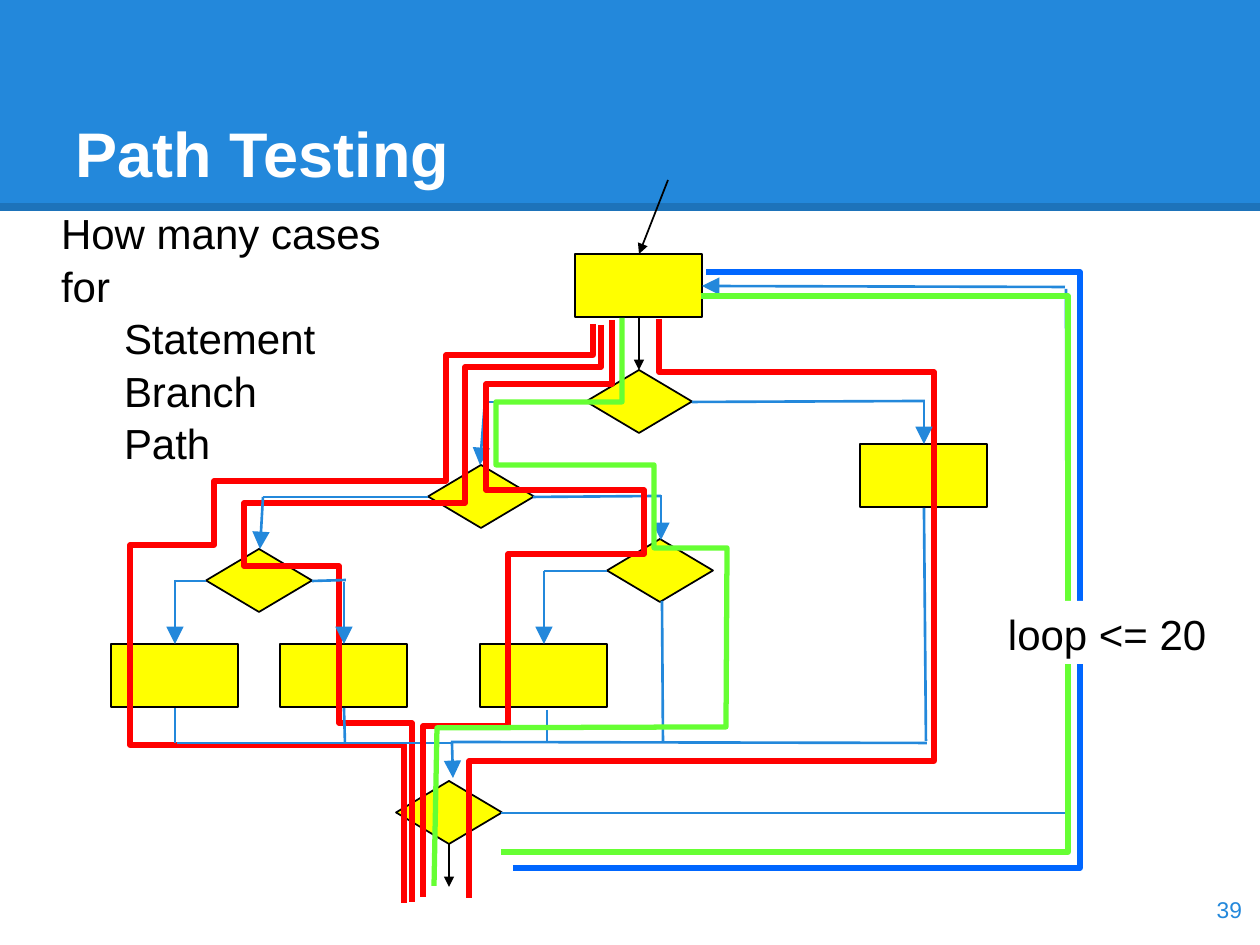
from pptx import Presentation
from pptx.dml.color import RGBColor
from pptx.enum.shapes import MSO_CONNECTOR, MSO_SHAPE as Preset
from pptx.enum.text import MSO_ANCHOR as Anchor, PP_ALIGN as Align
from pptx.oxml.ns import qn
from pptx.util import Pt
from lxml.etree import SubElement

SCALE = 914400 / 126
BLUE = RGBColor(0x23, 0x88, 0xDB)
BLACK = RGBColor(0, 0, 0)
WHITE = RGBColor(255, 255, 255)
YELLOW = RGBColor(255, 255, 0)
RED = RGBColor(255, 0, 0)
GREEN = RGBColor(0x66, 0xFF, 0x33)
LOOP_BLUE = RGBColor(0, 0x66, 0xFF)

PROCESSES = [(575, 254), (860, 444), (480, 644), (280, 644), (111, 644)]
DECISIONS = [(428, 465), (586, 370), (607, 539), (206, 549), (396, 781)]
FLOW_ARROWS = [(639, 318, 639, 370), (449, 844, 449, 887), (668, 180, 639, 254)]

BRANCH_LINES = [
    (586, 402, 484, 402), (692, 402, 925, 401), (501, 813, 1065, 813),
    (1067, 813, 1066, 289), (924, 508, 926, 741), (927, 743, 451, 742),
    (533, 497, 661, 496), (428, 497, 263, 497), (662, 601, 663, 743),
    (544, 571, 607, 571), (547, 710, 547, 743), (451, 743, 177, 743),
    (175, 708, 175, 743), (344, 708, 345, 743), (312, 581, 346, 580),
    (206, 581, 176, 581),
]
BRANCH_ARROWS = [
    (485, 401, 480, 465), (924, 401, 924, 444), (1065, 287, 702, 286),
    (452, 742, 453, 778), (661, 495, 661, 540), (263, 497, 260, 549),
    (544, 571, 544, 644), (344, 582, 344, 644), (175, 580, 175, 644),
]

OUTER_ROUTES = [
    (RED, [(659, 319), (659, 372), (934, 372), (934, 761), (469, 761), (469, 898)]),
    (RED, [(593, 324), (593, 355), (446, 355), (446, 481), (214, 481),
           (214, 545), (130, 545), (130, 745), (404, 745), (404, 903)]),
    (RED, [(601, 325), (601, 367), (465, 367), (465, 503), (244, 503),
           (244, 566), (339, 566), (339, 723), (412, 723), (412, 902)]),
]
INNER_ROUTES = [
    (GREEN, [(501, 852), (1068, 852), (1068, 296), (701, 296)]),
    (LOOP_BLUE, [(513, 868), (1080, 868), (1080, 272), (706, 272)]),
    (RED, [(612, 320), (612, 384), (486, 384), (486, 490), (644, 490),
           (644, 554), (508, 554), (508, 726), (423, 726), (423, 897)]),
    (GREEN, [(622, 318), (622, 402), (496, 402), (496, 465), (654, 465),
             (654, 548), (727, 548), (726, 727), (437, 728), (434, 886)]),
]


def px(*lengths):
    return [round(length * SCALE) for length in lengths]


def add_block(page, preset, area, fill, outlined=True):
    block = page.shapes.add_shape(preset, *px(*area))
    block.shadow.inherit = False
    block.fill.solid()
    block.fill.fore_color.rgb = fill
    if outlined:
        block.line.color.rgb = BLACK
        block.line.width = Pt(1)
    else:
        block.line.fill.background()
    return block


def add_line(page, ends, color, width, arrow=None, alpha=None):
    line = page.shapes.add_connector(MSO_CONNECTOR.STRAIGHT, *px(*ends))
    line.line.color.rgb = color
    line.line.width = Pt(width)
    outline = line.line._get_or_add_ln()
    if alpha:
        shade = outline.find(".//" + qn("a:srgbClr"))
        SubElement(shade, qn("a:alpha"), val=str(alpha * 1000))
    if arrow:
        SubElement(outline, qn("a:tailEnd"), type="triangle", w=arrow, len=arrow)
    SubElement(line._element.spPr, qn("a:effectLst"))


def add_route(page, color, points):
    builder = page.shapes.build_freeform(*points[0], scale=SCALE)
    builder.add_line_segments(points[1:], close=False)
    route = builder.convert_to_shape()
    route.shadow.inherit = False
    route.fill.background()
    route.line.color.rgb = color
    route.line.width = Pt(3)


def write(box, *lines, size=24, color=BLACK, bold=False, align=Align.LEFT,
          anchor=Anchor.TOP, insets=(13, 6, 13, 6), spacing=1.0):
    frame = box.text_frame
    frame.word_wrap = True
    frame.vertical_anchor = anchor
    (frame.margin_left, frame.margin_top,
     frame.margin_right, frame.margin_bottom) = px(*insets)
    for index, line in enumerate(lines):
        para = frame.add_paragraph() if index else frame.paragraphs[0]
        para.alignment = align
        para.line_spacing = spacing
        span = para.add_run()
        span.text = line
        span.font.name = "Arial"
        span.font.size = Pt(size)
        span.font.bold = bold
        span.font.color.rgb = color


def add_text(page, area, *lines, **style):
    write(page.shapes.add_textbox(*px(*area)), *lines, **style)


def main():
    deck = Presentation()
    deck.slide_width, deck.slide_height = px(1260, 945)
    page = deck.slides.add_slide(deck.slide_layouts[6])

    add_block(page, Preset.RECTANGLE, (0, 0, 1260, 211), BLUE, outlined=False)
    add_line(page, (0, 207, 1260, 207), BLACK, 4.5, alpha=15)

    for corner in PROCESSES:
        add_block(page, Preset.FLOWCHART_PROCESS, (*corner, 127, 63), YELLOW)
    for corner in DECISIONS:
        add_block(page, Preset.FLOWCHART_DECISION, (*corner, 106, 63), YELLOW)
    for ends in FLOW_ARROWS:
        add_line(page, ends, BLACK, 1, arrow="med")

    add_text(page, (48, 200, 369, 214), "How many cases for",
             "\tStatement", "\tBranch", "\tPath", spacing=1.04)
    add_text(page, (63, 73, 1134, 158), "Path Testing", size=36, color=WHITE,
             bold=True, anchor=Anchor.MIDDLE, insets=(13, 6, 6, 6))

    for color, points in OUTER_ROUTES:
        add_route(page, color, points)
    for ends in BRANCH_LINES:
        add_line(page, ends, BLUE, 1.5)
    for ends in BRANCH_ARROWS:
        add_line(page, ends, BLUE, 1.5, arrow="lg")
    for color, points in INNER_ROUTES:
        add_route(page, color, points)

    label = add_block(page, Preset.RECTANGLE, (995, 601, 241, 63), WHITE, outlined=False)
    write(label, "loop <= 20", spacing=1.04)
    add_text(page, (1179, 873, 76, 72), "39", size=13, color=BLUE, align=Align.RIGHT,
             anchor=Anchor.MIDDLE, insets=(13, 13, 13, 13))

    deck.save("out.pptx")


if __name__ == "__main__":
    main()
